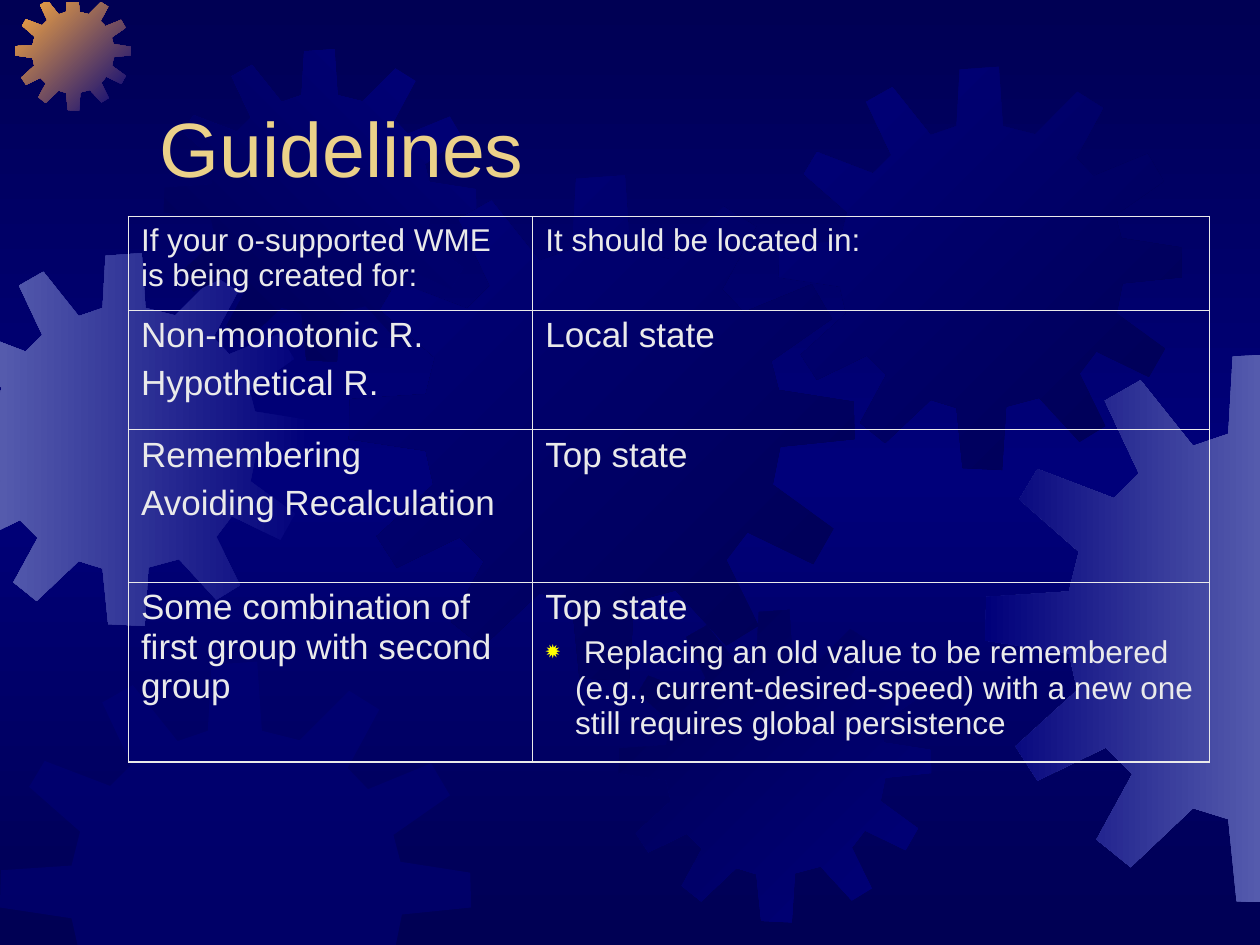
from copy import deepcopy

from lxml import etree
from pptx import Presentation
from pptx import util as u
from pptx.dml.color import RGBColor
from pptx.enum import text
from pptx.oxml.ns import qn

Pt = u.Pt
SLIDE_W, SLIDE_H = 720, 540

NIGHT = RGBColor(0x00, 0x00, 0x54)
NAVY = RGBColor(0x00, 0x00, 0x7A)
LAVENDER = RGBColor(0x55, 0x5B, 0xAD)
ORANGE = RGBColor(0xFC, 0xAB, 0x40)
GOLD = RGBColor(0xEB, 0xD1, 0x89)
PALE = RGBColor(0xEA, 0xEA, 0xEA)
YELLOW = RGBColor(0xFF, 0xFF, 0x00)

# Twelve-toothed gear, four points a tooth, in percent of its box
GEAR = [
    (63.6, 16.7), (55.6, 14.7), (54.6, 0), (44.9, 0.7),
    (44.1, 14.7), (37.7, 16.9), (28.2, 5), (21.7, 8.7),
    (27.9, 21.9), (23.4, 26.4), (9.5, 21.1), (6.2, 26.6),
    (17, 36.1), (15.2, 43.3), (0.2, 44.3), (0, 52.2),
    (15.2, 54.5), (16.7, 61.2), (5.5, 71.4), (9.5, 77.6),
    (21.9, 71.6), (26.7, 76.4), (20.2, 88.3), (26.4, 93.3),
    (37.7, 82.6), (44.1, 84.6), (45.6, 99.5), (55.4, 100),
    (56.4, 84.3), (64.6, 82.1), (74.6, 93), (81, 89.1),
    (74.6, 76.1), (78.8, 70.6), (91.8, 76.9), (95.8, 69.9),
    (83.8, 61.2), (85.3, 53.7), (100, 52.2), (99.8, 44.8),
    (85, 42.5), (83.5, 36.8), (95.5, 28.4), (91.5, 21.6),
    (78.1, 27.1), (73.8, 22.6), (80.5, 10.2), (74.1, 6.2),
]
# Left, top, size, first colour, last colour, clockwise gradient angle
GEARS = [
    (-35.3, 144.7, 213, NAVY, LAVENDER, 180),
    (8.6, -2.9, 66.2, NAVY, ORANGE, 225),
    (93.6, 28.1, 178.6, NAVY, NIGHT, 135),
    (199.4, 100.1, 289, NIGHT, NAVY, 225),
    (0, 378, 269.3, NAVY, None, None),
    (353.5, 348.5, 178.6, NAVY, NIGHT, 225),
    (445, 38.2, 230.4, NIGHT, NAVY, 225),
    (563, 201.6, 315, LAVENDER, NAVY, 180),
]
# Axis, limit and the side that is kept
SLIDE_EDGES = [(0, 0, 1), (0, SLIDE_W, -1), (1, 1.4, 1), (1, SLIDE_H, -1)]

COLUMNS = [231.1, 386.6]
ROW_HEIGHTS = [53.3, 68.4, 87.1, 103]
BULLET = "✹"
# Each cell lists its paragraphs as (text, size)
GUIDELINES = [
    [[("If your o-supported WME is being created for:", 18)],
     [("It should be located in:", 18)]],
    [[("Non-monotonic R.", 20), ("Hypothetical R.", 20)],
     [("Local state", 20)]],
    [[("Remembering", 20), ("Avoiding Recalculation", 20)],
     [("Top state", 20)]],
    [[("Some combination of first group with second group", 20)],
     [("Top state", 20),
      (BULLET + " Replacing an old value to be remembered (e.g., "
       "current-desired-speed) with a new one still requires global "
       "persistence", 18)]],
]


def apply(target, values):
    for name, value in values.items():
        setattr(target, name, value)


def add_text(paragraph, words, size, colour):
    run = paragraph.add_run()
    run.text = words
    apply(run.font, {"name": "Arial", "size": Pt(size)})
    run.font.color.rgb = colour


def paint_gradient(fill, first, last, angle):
    fill.gradient()
    fill.gradient_angle = (360 - angle) % 360
    for stop, colour in zip(fill.gradient_stops, (first, last)):
        stop.color.rgb = colour


def paint_background(slide):
    paint_gradient(slide.background.fill, NIGHT, NAVY, 90)
    stops = next(slide.element.iter(qn("a:gsLst")))
    stops[1].set("pos", "50000")
    bottom = deepcopy(stops[0])
    bottom.set("pos", "100000")
    stops.append(bottom)


def clip(points, axis, limit, side):
    """Keep the part of a polygon on one side of a slide edge."""
    kept = []
    for start, end in zip(points[-1:] + points[:-1], points):
        before, after = ((p[axis] - limit) * side for p in (start, end))
        if before * after < 0:
            share = before / (before - after)
            kept.append(tuple(a + (b - a) * share for a, b in zip(start, end)))
        if after >= 0:
            kept.append(end)
    return kept


def add_gear(slide, left, top, size, first, last, angle):
    outline = [(left + x * size / 100, top + y * size / 100) for x, y in GEAR]
    for edge in SLIDE_EDGES:
        outline = clip(outline, *edge)
    corners = [(Pt(x), Pt(y)) for x, y in outline]
    builder = slide.shapes.build_freeform(*corners[0])
    builder.add_line_segments(corners[1:], close=True)
    gear = builder.convert_to_shape()
    gear.shadow.inherit = False
    gear.line.fill.background()
    if last is not None:
        paint_gradient(gear.fill, first, last, angle)
        return
    # Half-transparent plain gear
    gear.fill.solid()
    gear.fill.fore_color.rgb = first
    tint = next(gear.element.spPr.iter(qn("a:srgbClr")))
    etree.SubElement(tint, qn("a:alpha"), val="50000")


def add_title(slide, left, top, width, height):
    title = slide.shapes.add_textbox(Pt(left), Pt(top), Pt(width), Pt(height))
    apply(title.text_frame, {"word_wrap": True,
                             "vertical_anchor": text.MSO_ANCHOR.BOTTOM})
    add_text(title.text_frame.paragraphs[0], "Guidelines", 44, GOLD)


def add_border(cell, side, width):
    line = etree.SubElement(cell._tc.get_or_add_tcPr(), qn("a:ln" + side),
                            w=str(Pt(width)))
    fill = etree.SubElement(line, qn("a:solidFill"))
    etree.SubElement(fill, qn("a:srgbClr"), val=str(PALE))


def add_bullet(paragraph):
    props = paragraph._p.get_or_add_pPr()
    props.set("marL", str(Pt(17)))
    props.set("indent", str(-Pt(17)))
    colour = etree.SubElement(props, qn("a:buClr"))
    etree.SubElement(colour, qn("a:srgbClr"), val=str(YELLOW))
    etree.SubElement(props, qn("a:buSzPct"), val="80000")
    etree.SubElement(props, qn("a:buChar"), char=BULLET)


def fill_cell(cell, paragraphs):
    for index, (words, size) in enumerate(paragraphs):
        frame = cell.text_frame
        paragraph = frame.add_paragraph() if index else frame.paragraphs[0]
        paragraph.space_before = Pt(size / 4)
        if words.startswith(BULLET):
            add_bullet(paragraph)
        add_text(paragraph, words.removeprefix(BULLET), size, PALE)


def add_guidelines(slide, left, top):
    table = slide.shapes.add_table(
        len(ROW_HEIGHTS), len(COLUMNS), Pt(left), Pt(top),
        Pt(sum(COLUMNS)), Pt(sum(ROW_HEIGHTS))).table
    apply(table, {"first_row": False, "horz_banding": False})
    for column, width in zip(table.columns, COLUMNS):
        column.width = Pt(width)
    for row, height in zip(table.rows, ROW_HEIGHTS):
        row.height = Pt(height)
    for r, row in enumerate(GUIDELINES):
        for c, paragraphs in enumerate(row):
            cell = table.cell(r, c)
            fill_cell(cell, paragraphs)
            # Heavier lines run round the outside of the table
            outer = {"L": c == 0, "R": c == len(COLUMNS) - 1,
                     "T": r == 0, "B": r == len(GUIDELINES) - 1}
            for side, is_outer in outer.items():
                add_border(cell, side, 1.08 if is_outer else 0.45)
            cell.fill.background()


def main():
    deck = Presentation()
    apply(deck, {"slide_width": Pt(SLIDE_W), "slide_height": Pt(SLIDE_H)})
    slide = deck.slides.add_slide(deck.slide_layouts[6])
    paint_background(slide)
    for gear in GEARS:
        add_gear(slide, *gear)
    add_title(slide, 84.2, 23.8, 612, 90)
    add_guidelines(slide, 73.4, 123.8)
    deck.save("out.pptx")


if __name__ == "__main__":
    main()
